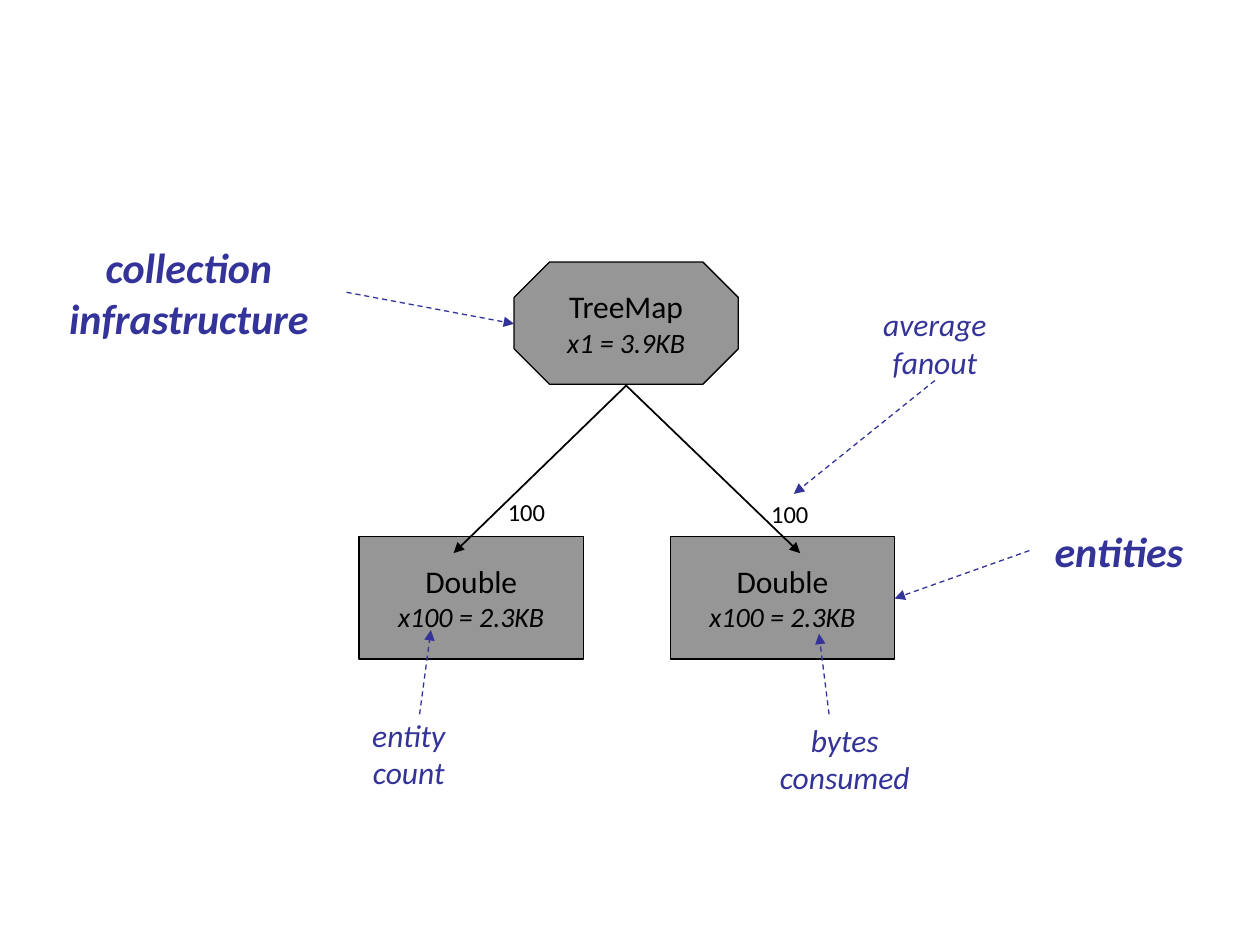
from pptx import Presentation, util as u
from pptx.dml.color import RGBColor
from pptx.enum import dml, shapes, text
from pptx.oxml.ns import qn
from lxml import etree

BLACK, GREY, BLUE = "000000", "969696", "333399"
BOX = shapes.MSO_SHAPE.FLOWCHART_PROCESS
OCTAGON = shapes.MSO_SHAPE.OCTAGON
CENTER, LEFT = text.PP_ALIGN.CENTER, text.PP_ALIGN.LEFT


def rgb(code):
    return RGBColor.from_string(code)


class Sketch:
    font = "Calibri"

    def __init__(self, slide):
        self.slide = slide

    def style(self, par, size, color, align, bold=False, italic=False):
        par.alignment = align
        font = par.font
        font.name, font.size = self.font, u.Pt(size)
        font.bold, font.italic = bold, italic
        font.color.rgb = rgb(color)

    def inset(self, frame, side, top):
        frame.margin_left = frame.margin_right = u.Inches(side)
        frame.margin_top = frame.margin_bottom = u.Inches(top)

    def shape(self, kind, x, y, w, h):
        """Add a bare shape with unwrapped, vertically centred text."""
        item = self.slide.shapes.add_shape(kind, *map(u.Inches, (x, y, w, h)))
        item.shadow.inherit = False
        frame = item.text_frame
        frame.word_wrap = False
        frame.vertical_anchor = text.MSO_ANCHOR.MIDDLE
        self.inset(frame, 0.09, 0.04)
        return item

    def node(self, kind, x, y, name, cost):
        item = self.shape(kind, x, y, 1.78, 0.97)
        item.fill.solid()
        item.fill.fore_color.rgb = rgb(GREY)
        item.line.color.rgb = rgb(BLACK)
        item.line.width = u.Pt(0.75)
        frame = item.text_frame
        frame.text = f"{name}\n{cost}"
        head, foot = frame.paragraphs
        self.style(head, 18, BLACK, CENTER)
        self.style(foot, 16, BLACK, CENTER, italic=True)
        return item

    def fanout(self, x, y, count):
        item = self.shape(BOX, x, y, 0.53, 0.32)
        item.fill.background()
        item.line.fill.background()
        frame = item.text_frame
        frame.auto_size = text.MSO_AUTO_SIZE.SHAPE_TO_FIT_TEXT
        frame.text = count
        self.style(frame.paragraphs[0], 14, BLACK, LEFT)

    def note(self, words, x, y, w, h, size=18, bold=False, inset=(0, 0)):
        item = self.slide.shapes.add_textbox(*map(u.Inches, (x, y, w, h)))
        frame = item.text_frame
        frame.word_wrap = True
        frame.auto_size = text.MSO_AUTO_SIZE.SHAPE_TO_FIT_TEXT
        self.inset(frame, *inset)
        frame.text = words
        par = frame.paragraphs[0]
        par.space_before = u.Pt(size * 0.625)
        self.style(par, size, BLUE, CENTER, bold, italic=True)

    def arrow(self, start, end, color=BLUE, width=0.75, dashed=True):
        ends = map(u.Inches, (*start, *end))
        item = self.slide.shapes.add_connector(shapes.MSO_CONNECTOR.STRAIGHT, *ends)
        item.line.color.rgb = rgb(color)
        item.line.width = u.Pt(width)
        if dashed:
            item.line.dash_style = dml.MSO_LINE.DASH
        props = item.line._get_or_add_ln()
        etree.SubElement(props, qn("a:tailEnd"), type="triangle")
        etree.SubElement(item._element.spPr, qn("a:effectLst"))


def main():
    deck = Presentation()
    deck.slide_width, deck.slide_height = u.Inches(10), u.Inches(7.5)
    art = Sketch(deck.slides.add_slide(deck.slide_layouts[6]))

    tree = art.node(OCTAGON, 4.08, 2.08, "TreeMap", "x1 = 3.9KB")
    tree.adjustments[0] = 0.29
    for x in (2.85, 5.32):
        art.node(BOX, x, 4.26, "Double", "x100 = 2.3KB")

    for tip, x, y in ((3.6, 3.94, 3.9), (6.35, 6.03, 3.92)):
        art.arrow((4.97, 3.06), (tip, 4.39), BLACK, 1, dashed=False)
        art.fanout(x, y, "100")

    art.note("collection infrastructure", 0.25, 1.92, 2.5, 1.2, 24, True)
    art.arrow((2.75, 2.32), (4.08, 2.57))
    art.note("entities", 8.17, 4.17, 1.42, 0.8, 24, True)
    art.arrow((8.17, 4.37), (7.1, 4.75))
    art.note("average fanout", 6.92, 2.42, 1, 0.9)
    art.arrow((7.42, 3.02), (6.3, 3.92))
    art.note("entity count", 2.58, 5.63, 1.33, 0.7, inset=(0.1, 0.05))
    art.arrow((3.33, 5.67), (3.42, 5))
    art.note("bytes consumed", 5.83, 5.67, 1.75, 0.7, inset=(0.1, 0.05))
    art.arrow((6.58, 5.67), (6.5, 5.03))

    deck.save("out.pptx")


if __name__ == "__main__":
    main()
